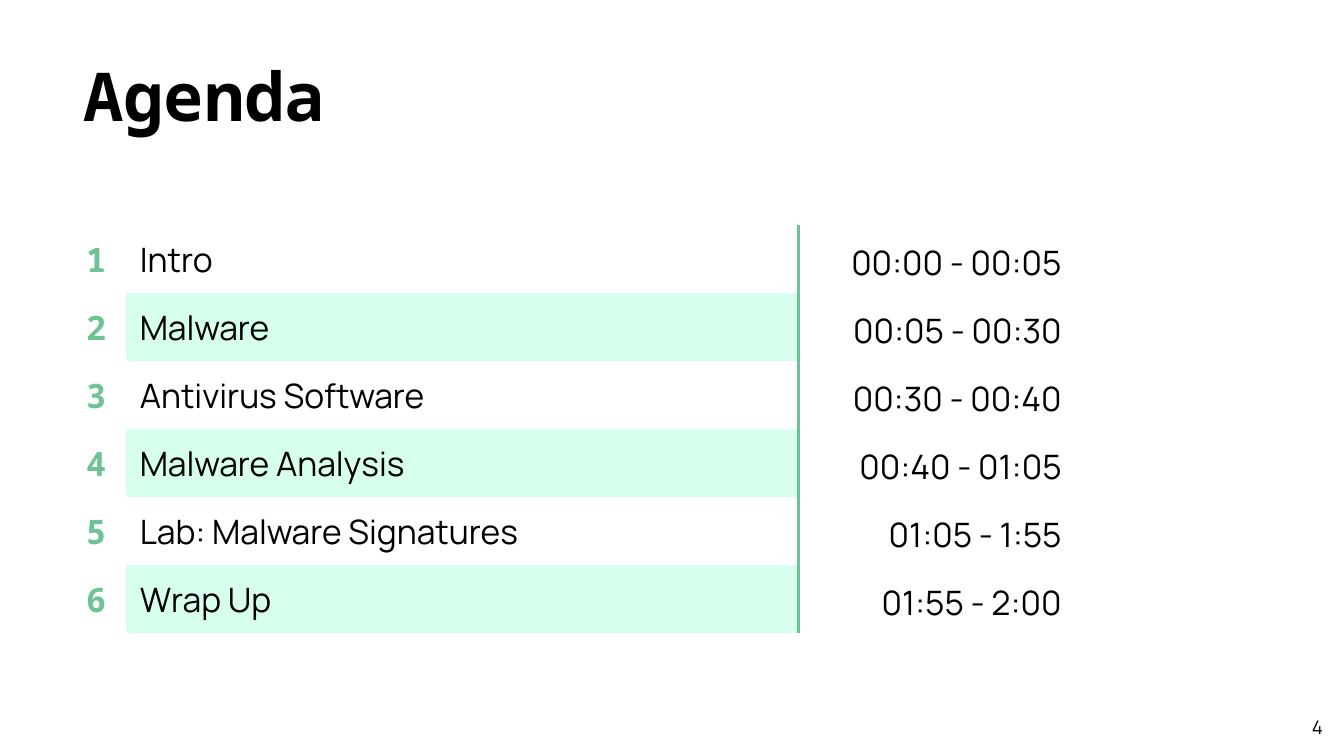
import pptx
import pptx.dml.color
import pptx.enum.text
import pptx.oxml
import pptx.oxml.ns
import pptx.util

ALIGN = pptx.enum.text.PP_ALIGN
ANCHOR = pptx.enum.text.MSO_ANCHOR
HEADING_FONT, BODY_FONT = "Noto Sans Mono", "Manrope"
BLACK, GREEN, MINT = "000000", "6EC396", "D7FFEE"
NO_GRID_STYLE = "{2D5ABB26-0587-4C30-8999-92F81FD0307C}"

AGENDA = [
    ("Intro", "00:00 - 00:05"),
    ("Malware", "00:05 - 00:30"),
    ("Antivirus Software", "00:30 - 00:40"),
    ("Malware Analysis", "00:40 - 01:05"),
    ("Lab: Malware Signatures", "01:05 - 1:55"),
    ("Wrap Up", "01:55 - 2:00"),
]
COLUMN_SHARES = (4.5, 50, 20.6)
ROW_SHARE = 9

deck = pptx.Presentation()
deck.slide_width = pptx.util.Inches(10)
deck.slide_height = pptx.util.Pt(405)


def across(share):
    return round(deck.slide_width * share / 100)


def down(share):
    return round(deck.slide_height * share / 100)


def area(left, top, width, height):
    return across(left), down(top), across(width), down(height)


def color(code):
    return pptx.dml.color.RGBColor.from_string(code)


def write(frame, text, size, face=BODY_FONT, ink=BLACK, bold=False, align=ALIGN.LEFT):
    frame.text = text
    paragraph = frame.paragraphs[0]
    paragraph.alignment = align
    font = paragraph.runs[0].font
    font.size, font.name, font.bold = pptx.util.Pt(size), face, bold
    font.color.rgb = color(ink)
    return paragraph


def set_insets(frame, inset):
    frame.margin_left = frame.margin_right = pptx.util.Inches(inset)
    frame.margin_top = frame.margin_bottom = pptx.util.Inches(inset)


def add_heading(slide, box):
    heading = slide.shapes.title
    heading.left, heading.top, heading.width, heading.height = box
    frame = heading.text_frame
    set_insets(frame, 0.02)
    frame.vertical_anchor = ANCHOR.TOP
    frame.auto_size = pptx.enum.text.MSO_AUTO_SIZE.NONE
    write(frame, "Agenda", 36, HEADING_FONT, bold=True)


def add_page_number(slide, box):
    frame = slide.shapes.add_textbox(*box).text_frame
    frame.word_wrap = True
    set_insets(frame, 0.1)
    frame.vertical_anchor = ANCHOR.MIDDLE
    write(frame, "4", 10, align=ALIGN.RIGHT)


def add_side_border(cell, side):
    border = pptx.oxml.parse_xml(
        f'<a:{side} {pptx.oxml.ns.nsdecls("a")} w="{pptx.util.Pt(1.5)}">'
        f'<a:solidFill><a:srgbClr val="{GREEN}"/></a:solidFill></a:{side}>'
    )
    cell._tc.get_or_add_tcPr().insert(0, border)


def fill_cell(cell, text, shade=None, **style):
    cell.vertical_anchor = ANCHOR.MIDDLE
    cell.margin_left = cell.margin_right = pptx.util.Inches(0.1)
    cell.margin_top = cell.margin_bottom = 0
    if shade:
        cell.fill.solid()
        cell.fill.fore_color.rgb = color(shade)
    else:
        cell.fill.background()
    return write(cell.text_frame, text, 18, **style)


def add_schedule(slide, box):
    schedule = slide.shapes.add_table(len(AGENDA), len(COLUMN_SHARES), *box).table
    schedule.first_row = schedule.horz_banding = False
    schedule._tbl.tblPr.find(pptx.oxml.ns.qn("a:tableStyleId")).text = NO_GRID_STYLE
    for column, share in zip(schedule.columns, COLUMN_SHARES):
        column.width = across(share)
    for index, (topic, period) in enumerate(AGENDA):
        schedule.rows[index].height = down(ROW_SHARE)
        number_cell, topic_cell, period_cell = schedule.rows[index].cells
        fill_cell(number_cell, str(index + 1), face=HEADING_FONT, ink=GREEN,
                  bold=True, align=ALIGN.CENTER)
        fill_cell(topic_cell, topic, shade=MINT if index % 2 else None)
        fill_cell(period_cell, period, align=ALIGN.RIGHT).line_spacing = 1.15
        add_side_border(topic_cell, "lnR")
        add_side_border(period_cell, "lnL")


def build_agenda_slide():
    slide = deck.slides.add_slide(deck.slide_layouts[5])
    slide.background.fill.solid()
    slide.background.fill.fore_color.rgb = color("FFFFFF")
    add_heading(slide, area(6, 6.8, 90.1, 12.8))
    add_page_number(slide, area(93.4, 93.2, 6, 5.9))
    add_schedule(slide, area(4.9, 29.8, sum(COLUMN_SHARES), ROW_SHARE * len(AGENDA)))


build_agenda_slide()
deck.save("out.pptx")
